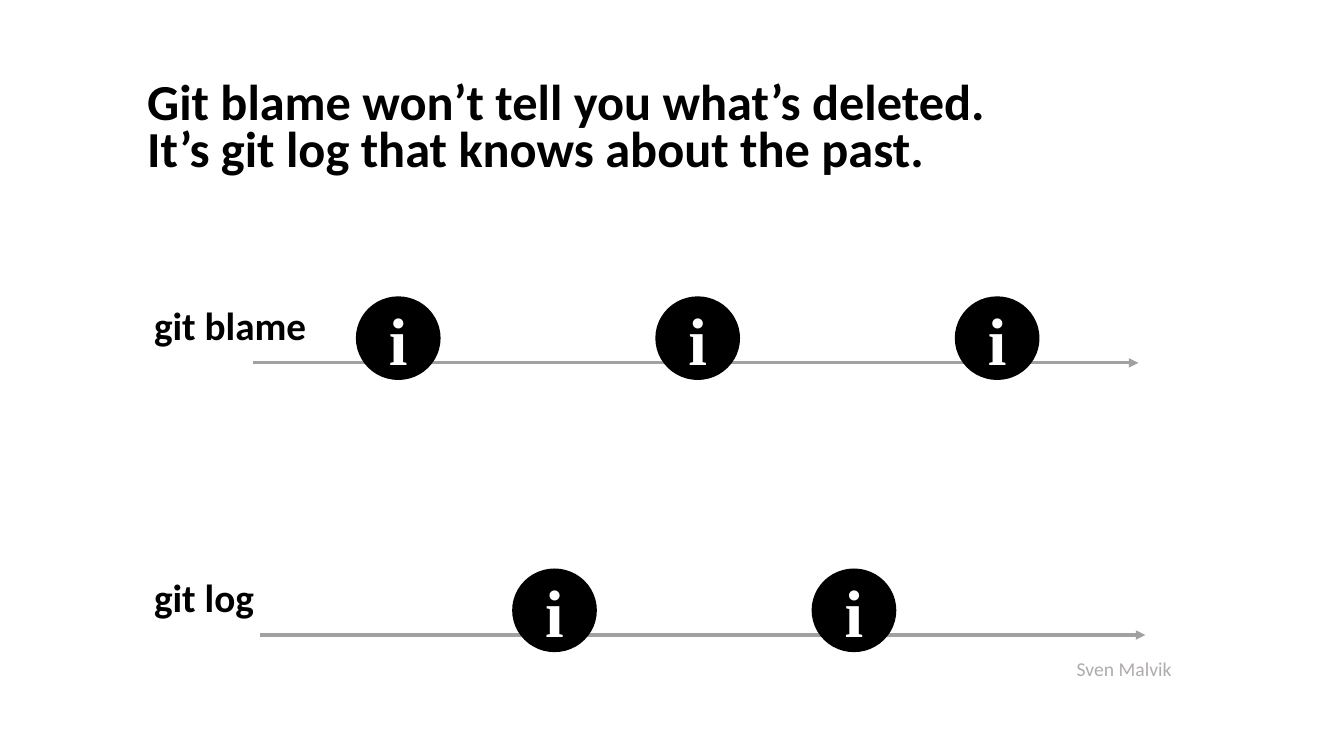
from dataclasses import dataclass

from lxml import etree
from pptx import Presentation
from pptx.dml.color import RGBColor
from pptx.enum.shapes import MSO_CONNECTOR, MSO_SHAPE
from pptx.enum.text import MSO_ANCHOR, MSO_AUTO_SIZE, PP_ALIGN
from pptx.oxml.ns import qn
from pptx.util import Inches, Pt

STRAIGHT = MSO_CONNECTOR.STRAIGHT
OVAL = MSO_SHAPE.OVAL
TOP, MIDDLE = MSO_ANCHOR.TOP, MSO_ANCHOR.MIDDLE
LEFT, CENTER = PP_ALIGN.LEFT, PP_ALIGN.CENTER
NO_AUTOFIT = MSO_AUTO_SIZE.NONE
FIT_SHAPE = MSO_AUTO_SIZE.SHAPE_TO_FIT_TEXT
TITLE_ONLY = 5


@dataclass(frozen=True)
class Theme:
    font: str = "Calibri"
    marker_font: str = "Times New Roman"
    ink: RGBColor = RGBColor(0, 0, 0)
    paper: RGBColor = RGBColor(255, 255, 255)
    axis: RGBColor = RGBColor(0xA2, 0xA1, 0xA1)
    muted: RGBColor = RGBColor(0xAF, 0xAB, 0xAB)
    title_size: int = 36
    title_leading: int = 34
    label_size: int = 28
    marker_size: int = 48
    author_size: int = 14
    axis_width: float = 2.25


THEME = Theme()
LABEL_LEFT = 1.43
FIRST_ROW, ROW_STEP = 2.94, 2.7
MARKER_STEP = 2.97
MARKER_WIDTH, MARKER_HEIGHT = 0.84, 0.83
AXIS_OFFSET, AXIS_LENGTH = 0.66, 8.78

TITLE_LINES = (
    "Git blame won’t tell you what’s deleted.",
    "It’s git log that knows about the past.",
)
TIMELINES = (
    ("git blame", 1.73, 2.51, 3.53, 3),
    ("git log", 1.2, 2.58, 5.08, 2),
)


def add_run(paragraph, text, size, color, bold=True, font=THEME.font):
    run = paragraph.add_run()
    run.text = text
    run.font.name = font
    run.font.size = Pt(size)
    run.font.bold = bold
    run.font.color.rgb = color


def add_title(slide):
    title = slide.shapes.title
    title.left, title.top = Inches(1.36), Inches(0.77)
    title.width, title.height = Inches(11.14), Inches(1.05)
    frame = title.text_frame
    frame.auto_size = NO_AUTOFIT
    frame.vertical_anchor = TOP
    paragraph = frame.paragraphs[0]
    paragraph.alignment = LEFT
    paragraph.line_spacing = Pt(THEME.title_leading)
    for index, line in enumerate(TITLE_LINES):
        if index:
            paragraph.add_line_break()
        add_run(paragraph, line, THEME.title_size, THEME.ink)


def add_text(slide, text, left, top, width, height, size, color, bold, wrap):
    box = slide.shapes.add_textbox(
        Inches(left), Inches(top), Inches(width), Inches(height))
    box.text_frame.word_wrap = wrap
    box.text_frame.auto_size = FIT_SHAPE
    add_run(box.text_frame.paragraphs[0], text, size, color, bold)


def add_axis(slide, left, top):
    axis = slide.shapes.add_connector(
        STRAIGHT, Inches(left), Inches(top),
        Inches(left + AXIS_LENGTH), Inches(top))
    axis.line.color.rgb = THEME.axis
    axis.line.width = Pt(THEME.axis_width)
    etree.SubElement(axis.line._get_or_add_ln(), qn("a:tailEnd"), type="triangle")
    etree.SubElement(axis._element.spPr, qn("a:effectLst"))


def add_marker(slide, left, top):
    marker = slide.shapes.add_shape(
        OVAL, Inches(left), Inches(top),
        Inches(MARKER_WIDTH), Inches(MARKER_HEIGHT))
    marker.shadow.inherit = False
    marker.fill.solid()
    marker.fill.fore_color.rgb = THEME.ink
    marker.line.fill.background()
    marker.text_frame.vertical_anchor = MIDDLE
    paragraph = marker.text_frame.paragraphs[0]
    paragraph.alignment = CENTER
    add_run(paragraph, "i", THEME.marker_size, THEME.paper, font=THEME.marker_font)


def add_timeline(slide, top, label, label_width, axis_left, marker_left, count):
    add_axis(slide, axis_left, top + AXIS_OFFSET)
    for index in range(count):
        add_marker(slide, marker_left + index * MARKER_STEP, top)
    add_text(slide, label, LABEL_LEFT, top, label_width, 0.57,
             THEME.label_size, THEME.ink, bold=True, wrap=False)


def main():
    presentation = Presentation()
    presentation.slide_width = Inches(13.33)
    presentation.slide_height = Inches(7.5)
    slide = presentation.slides.add_slide(presentation.slide_layouts[TITLE_ONLY])
    add_title(slide)
    for row, timeline in enumerate(TIMELINES):
        add_timeline(slide, FIRST_ROW + row * ROW_STEP, *timeline)
    add_text(slide, "Sven Malvik", 10.58, 6.47, 1.28, 0.34,
             THEME.author_size, THEME.muted, bold=False, wrap=True)
    presentation.save("out.pptx")


if __name__ == "__main__":
    main()
